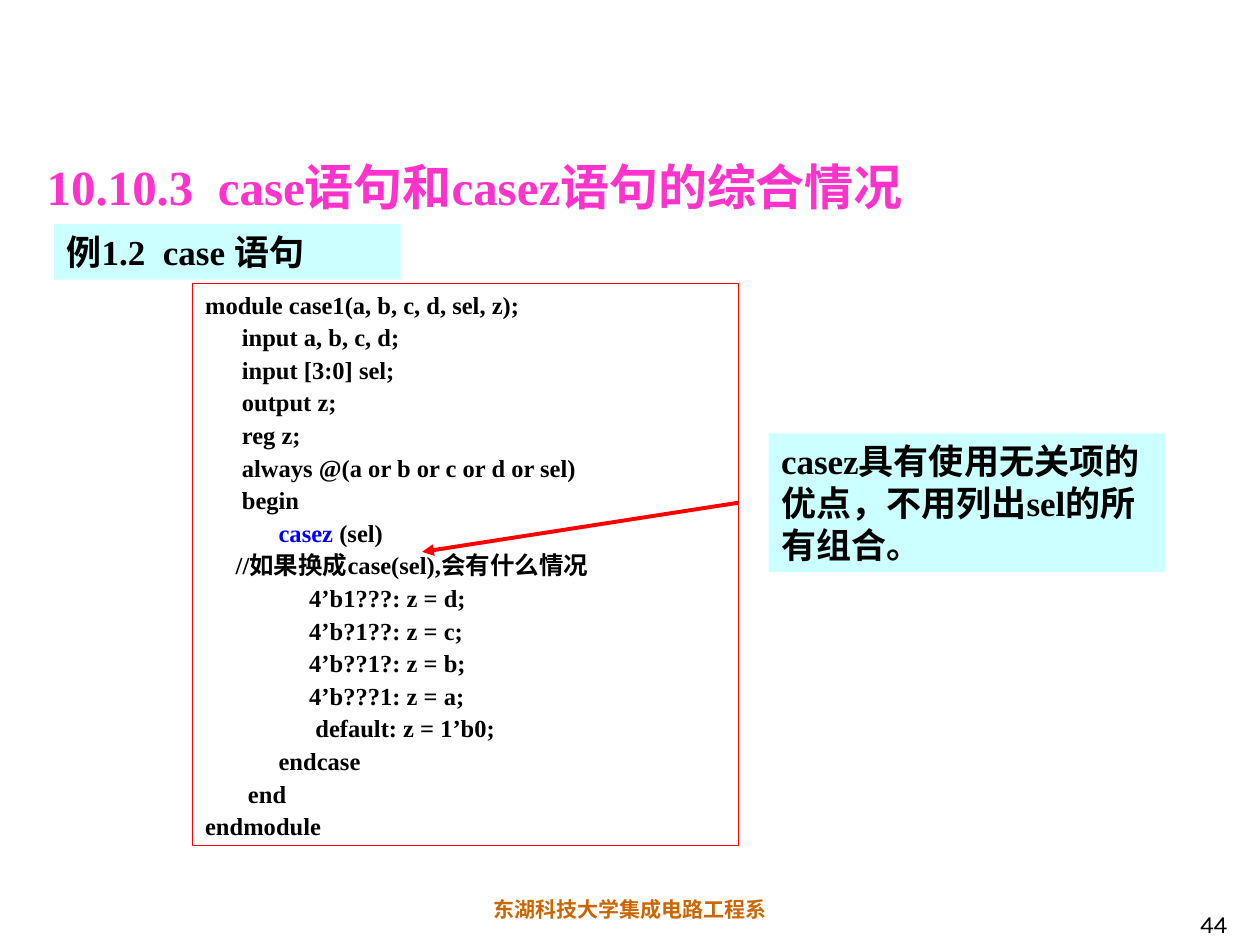
import dataclasses

import pptx
import pptx.dml.color
import pptx.enum.shapes
import pptx.enum.text
import pptx.oxml
import pptx.oxml.ns
import pptx.util

Inches = pptx.util.Inches
Pt = pptx.util.Pt
ALIGN = pptx.enum.text.PP_ALIGN
ANCHOR = pptx.enum.text.MSO_ANCHOR
FIT = pptx.enum.text.MSO_AUTO_SIZE


@dataclasses.dataclass(frozen=True)
class Theme:
    black: str = "000000"
    pink: str = "FF33CC"
    orange: str = "CC6600"
    red: str = "FF0000"
    blue: str = "0000FF"
    cyan: str = "CCFFFF"
    serif: str = "Times New Roman"
    sans: str = "Karla"
    chinese: str = "Noto Sans CJK SC"
    title: int = 28
    note: int = 20
    code: int = 14
    number: int = 14
    footer: int = 12


THEME = Theme()
CODE = [
    (0, "module case1(a, b, c, d, sel, z);"),
    (6, "input a, b, c, d;"),
    (6, "input [3:0] sel;"),
    (6, "output z;"),
    (6, "reg z;"),
    (6, "always @(a or b or c or d or sel)"),
    (6, "begin"),
    (12, "casez (sel)"),
    (5, "//如果换成case(sel),会有什么情况"),
    (17, "4’b1???: z = d;"),
    (17, "4’b?1??: z = c;"),
    (17, "4’b??1?: z = b;"),
    (17, "4’b???1: z = a;"),
    (18, "default: z = 1’b0;"),
    (12, "endcase"),
    (7, "end"),
    (0, "endmodule"),
]
KEYWORD = "casez "


def color(value):
    return pptx.dml.color.RGBColor.from_string(value)


def add_text(para, text, *, size, fill=THEME.black, latin=THEME.serif,
             bold=True, align=ALIGN.LEFT, before=0, indent=0):
    span = para.add_run()
    span.text = text
    span.font.size = Pt(size)
    span.font.bold = bold
    span.font.color.rgb = color(fill)
    span.font.name = latin
    east = pptx.oxml.parse_xml(f'<a:ea {pptx.oxml.ns.nsdecls("a")}/>')
    east.set("typeface", THEME.chinese)
    span._r.get_or_add_rPr().append(east)
    para.alignment = align
    para.space_before = Pt(before)
    if indent:
        para._p.get_or_add_pPr().set("marL", str(Pt(indent)))


class SlideBuilder:
    """Holds the theme and the current slide and adds each kind of element."""

    def __init__(self, page, theme):
        self.page = page
        self.theme = theme

    def title(self, text, area):
        box = self.page.shapes.title
        box.left, box.top, box.width, box.height = map(Inches, area)
        box.text_frame.vertical_anchor = ANCHOR.BOTTOM
        box.text_frame.auto_size = FIT.NONE
        add_text(box.text_frame.paragraphs[0], text,
                 size=self.theme.title, fill=self.theme.pink)

    def label(self, text, area, anchor=ANCHOR.TOP, **style):
        box = self.page.shapes.add_textbox(*map(Inches, area))
        box.text_frame.word_wrap = True
        box.text_frame.vertical_anchor = anchor
        add_text(box.text_frame.paragraphs[0], text,
                 latin=self.theme.sans, **style)

    def panel(self, area, fill=None, line=None):
        kind = pptx.enum.shapes.MSO_SHAPE.RECTANGLE
        box = self.page.shapes.add_shape(kind, *map(Inches, area))
        box.shadow.inherit = False
        if fill:
            box.fill.solid()
            box.fill.fore_color.rgb = color(fill)
        else:
            box.fill.background()
        if line:
            box.line.color.rgb = color(line)
            box.line.width = Pt(0.75)
        else:
            box.line.fill.background()
        frame = box.text_frame
        frame.word_wrap = True
        frame.auto_size = FIT.SHAPE_TO_FIT_TEXT
        frame.vertical_anchor = ANCHOR.TOP
        return frame

    def note(self, text, area):
        frame = self.panel(area, fill=self.theme.cyan)
        add_text(frame.paragraphs[0], text, size=self.theme.note, before=12.5)

    def code(self, lines, area):
        frame = self.panel(area, line=self.theme.red)
        space = self.theme.code / 4
        for index, (depth, text) in enumerate(lines):
            para = frame.add_paragraph() if index else frame.paragraphs[0]
            style = {"size": self.theme.code, "before": 1.8, "indent": depth * space}
            if text.startswith(KEYWORD):
                add_text(para, KEYWORD, fill=self.theme.blue, **style)
                text = text.removeprefix(KEYWORD)
            add_text(para, text, **style)

    def arrow(self, start, end):
        kind = pptx.enum.shapes.MSO_CONNECTOR.STRAIGHT
        arrow = self.page.shapes.add_connector(kind, *map(Inches, start + end))
        arrow.line.color.rgb = color(self.theme.red)
        arrow.line.width = Pt(2.25)
        names = pptx.oxml.ns.nsdecls("a")
        arrow.line._get_or_add_ln().append(
            pptx.oxml.parse_xml(f'<a:tailEnd {names} type="triangle"/>'))
        arrow._element.spPr.append(pptx.oxml.parse_xml(f"<a:effectLst {names}/>"))


def main():
    deck = pptx.Presentation()
    deck.slide_width, deck.slide_height = Inches(10), Inches(7.5)
    page = deck.slides.add_slide(deck.slide_layouts.get_by_name("Title Only"))
    slide = SlideBuilder(page, THEME)
    slide.label("东湖科技大学集成电路工程系", (0, 7.07, 10, 0.3), size=THEME.footer,
                fill=THEME.orange, align=ALIGN.CENTER, before=7.5)
    slide.label("44", (7.76, 7, 2.08, 0.5), anchor=ANCHOR.BOTTOM,
                size=THEME.number, bold=False, align=ALIGN.RIGHT)
    slide.title("10.10.3  case语句和casez语句的综合情况", (0.27, 0.76, 8.94, 1))
    slide.code(CODE, (1.53, 2.25, 4.33, 4.46))
    slide.note("casez具有使用无关项的优点，不用列出sel的所有组合。", (6.1, 3.44, 3.15, 1.1))
    slide.arrow((5.86, 3.99), (3.35, 4.38))
    slide.note("例1.2  case 语句", (0.43, 1.78, 2.75, 0.44))
    deck.save("out.pptx")


if __name__ == "__main__":
    main()
